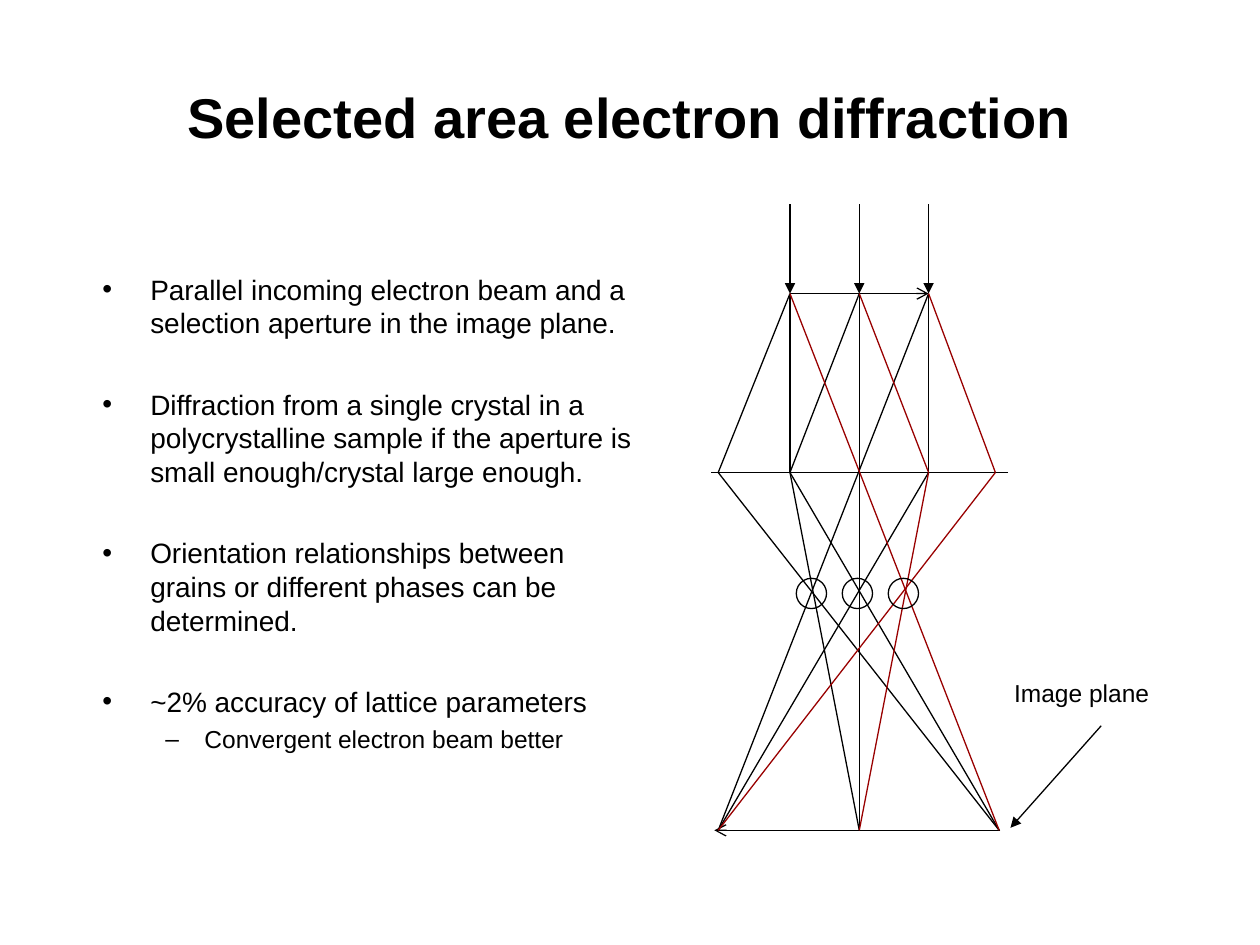
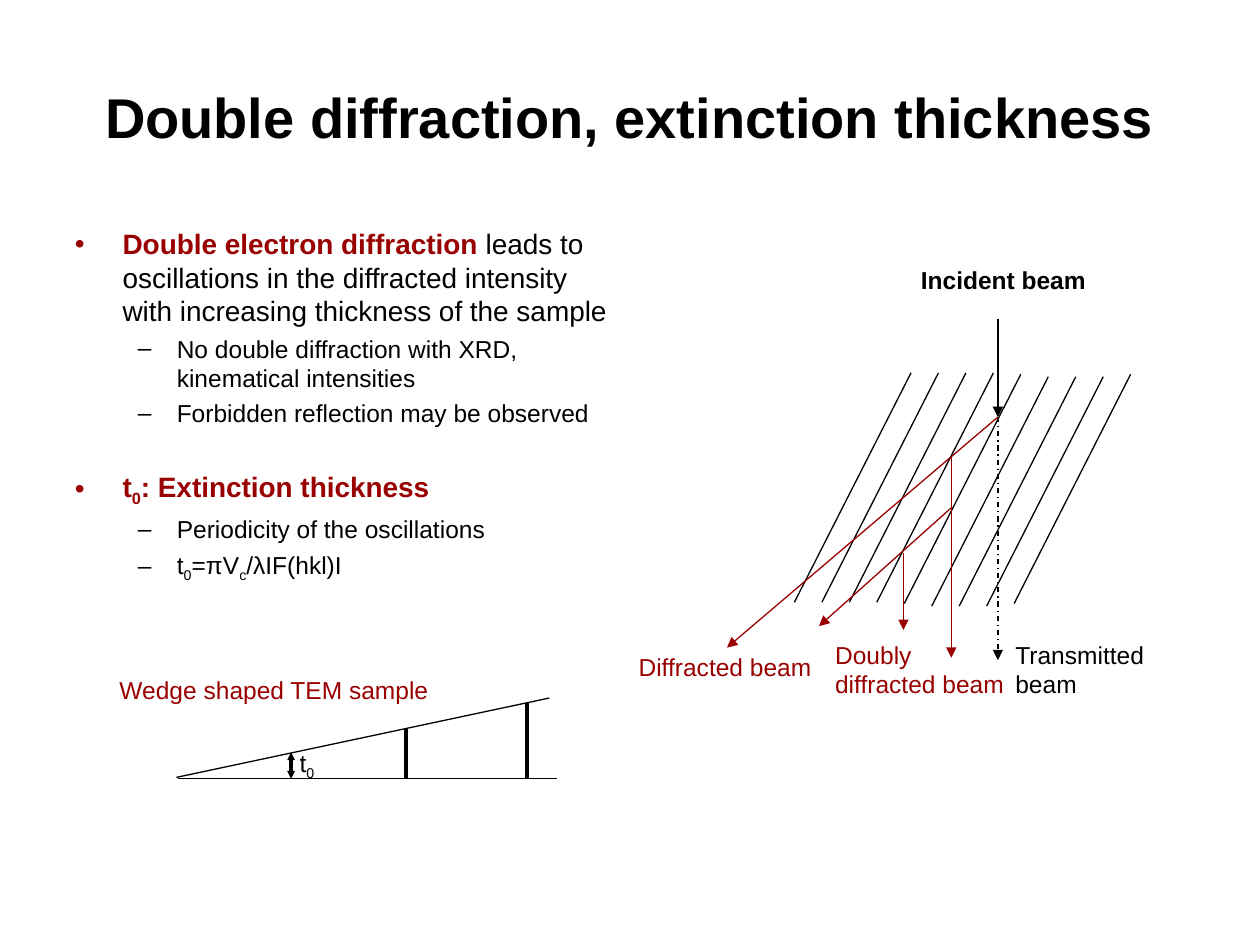
from dataclasses import dataclass

from lxml.etree import SubElement
from pptx import Presentation
from pptx.dml.color import RGBColor
from pptx.enum.dml import MSO_LINE
from pptx.enum.shapes import MSO_CONNECTOR, MSO_SHAPE
from pptx.enum.text import MSO_ANCHOR, MSO_AUTO_SIZE, PP_ALIGN
from pptx.oxml.ns import qn
from pptx.util import Inches, Pt

COLUMNS, ROWS = 100, 75
SLIDE_WIDTH, SLIDE_HEIGHT = Inches(10), Inches(7.5)


@dataclass(frozen=True)
class Theme:
    font: str = "Arial"
    ink: str = "000000"
    accent: str = "990000"
    title_size: int = 32
    point_size: int = 16
    detail_size: int = 14
    thin: float = 0.75
    medium: float = 1.5
    thick: float = 2.25


THEME = Theme()


@dataclass(frozen=True)
class Box:
    """A region in grid columns and rows."""
    left: float
    top: float
    width: float
    height: float

    def inner(self, left, top, width, height):
        return Box(self.left + left, self.top + top, width, height)

    def point(self, column, row):
        return to_emu(self.left + column, self.top + row)

    def frame(self):
        return *to_emu(self.left, self.top), *to_emu(self.width, self.height)


def to_emu(column, row):
    return round(column * SLIDE_WIDTH / COLUMNS), round(row * SLIDE_HEIGHT / ROWS)


def rgb(color):
    return RGBColor.from_string(color)


# ---- Text ----
def add_run(paragraph, text, size, color=THEME.ink, bold=False, sub=False):
    run = paragraph.add_run()
    run.text = text
    run.font.name, run.font.size, run.font.bold = THEME.font, Pt(size), bold
    run.font.color.rgb = rgb(color)
    if sub:
        run.font._element.set("baseline", "-25000")


def add_text(slide, box, lines, size=THEME.detail_size, wrap=False,
             align=PP_ALIGN.LEFT, anchor=MSO_ANCHOR.TOP, **look):
    """Each line is a string or a list of (text, look) runs."""
    frame = slide.shapes.add_textbox(*box.frame()).text_frame
    frame.word_wrap, frame.vertical_anchor = wrap, anchor
    frame.auto_size = MSO_AUTO_SIZE.NONE if wrap else MSO_AUTO_SIZE.SHAPE_TO_FIT_TEXT
    for index, line in enumerate(lines):
        paragraph = frame.add_paragraph() if index else frame.paragraphs[0]
        paragraph.alignment = align
        for text, extra in [(line, {})] if isinstance(line, str) else line:
            add_run(paragraph, text, **{"size": size, **look, **extra})
    return frame


def set_bullet(paragraph, mark, color, margin, hanging):
    properties = paragraph._p.get_or_add_pPr()
    properties.set("marL", str(Inches(margin)))
    properties.set("indent", str(-Inches(hanging)))
    bullet_color = SubElement(properties, qn("a:buClr"))
    SubElement(bullet_color, qn("a:srgbClr"), val=color)
    SubElement(properties, qn("a:buFont"), typeface=THEME.font)
    SubElement(properties, qn("a:buChar"), char=mark)


def add_title(slide, title):
    add_text(slide, Box(5, 3, 90, 12.5), [title], size=THEME.title_size, bold=True,
             wrap=True, align=PP_ALIGN.CENTER, anchor=MSO_ANCHOR.MIDDLE)


def add_outline(slide, box, topics, topic_gap, bullet_color):
    """Each topic is (point, details); topics stand topic_gap points apart."""
    entries = []
    for point, details in topics:
        entries.append((0, topic_gap, point))
        entries += [(1, 3.5, detail) for detail in details]
    sizes = THEME.point_size, THEME.detail_size
    lines = [[(text, {"size": sizes[level], **look})
              for text, look in ([(line, {})] if isinstance(line, str) else line)]
             for level, _, line in entries]
    frame = add_text(slide, box, lines, wrap=True)
    for index, (level, gap, _) in enumerate(entries):
        paragraph = frame.paragraphs[index]
        if level:
            set_bullet(paragraph, "–", THEME.ink, 0.81, 0.31)
        else:
            set_bullet(paragraph, "•", bullet_color, 0.38, 0.38)
        paragraph.level = level
        paragraph.space_before = Pt(gap if index else 0)


# ---- Lines ----
def add_line(slide, box, start, end, color=THEME.ink, width=THEME.thin,
             head=None, tail=None, tip="med", dash=None):
    line = slide.shapes.add_connector(
        MSO_CONNECTOR.STRAIGHT, *box.point(*start), *box.point(*end))
    line.line.color.rgb, line.line.width = rgb(color), Pt(width)
    if dash:
        line.line.dash_style = dash
    for tag, kind in (("a:headEnd", head), ("a:tailEnd", tail)):
        if kind:
            SubElement(line.get_or_add_ln(), qn(tag), type=kind, w=tip, len=tip)
    SubElement(line._element.spPr, qn("a:effectLst"))


# ---- Ray diagram ----
def draw_ray_diagram(slide, box):
    source, specimen, lens, image = 0, 7.1, 21.3, 49.7
    specimen_columns = [6.3, 11.8, 17.3]
    lens_columns = [0.6, *specimen_columns, 22.6]
    image_columns = [0.6, 11.8, 22.9]
    lens_centre, direct_order = 2, 1

    # Incoming beam, specimen, lens and image
    for column in specimen_columns:
        add_line(slide, box, (column, source), (column, specimen), tail="triangle")
    add_line(slide, box, (specimen_columns[0], specimen),
             (specimen_columns[-1], specimen), tail="arrow")
    add_line(slide, box, (23.6, lens), (0, lens))
    add_line(slide, box, (23, image), (0.3, image), tail="arrow")

    # Every order crosses the lens and meets in the inverted image;
    # diffracted rays through the lens centre go on undeviated
    for order, color in enumerate((THEME.ink, THEME.ink, THEME.accent)):
        for place, column in enumerate(specimen_columns):
            crossing = place + order
            stops = [(column, specimen), (lens_columns[crossing], lens),
                     (image_columns[-1 - place], image)]
            if crossing == lens_centre and order != direct_order:
                del stops[1]
            for start, end in zip(stops, stops[1:]):
                add_line(slide, box, start, end, color=color)

    # Diffraction spots in the back focal plane
    for spot in range(3):
        ring = slide.shapes.add_shape(
            MSO_SHAPE.OVAL, *box.inner(6.8 + 3.65 * spot, 29.7, 2.4, 2.4).frame())
        ring.shadow.inherit = False
        ring.fill.background()
        ring.line.color.rgb, ring.line.width = rgb(THEME.ink), Pt(THEME.thin)

    # Pointer to the image plane
    add_line(slide, box, (31, 41.4), (23.8, 49.5), tail="triangle")
    add_text(slide, box.inner(23.1, 37.1, 12.7, 3.4), ["Image plane"])


# ---- Double diffraction diagram ----
def draw_double_diffraction(slide, box):
    # Lattice planes
    plane_tops = [9.1] * 4 + [9.2] + [9.4] * 3 + [9.2]
    for index, top in enumerate(plane_tops):
        column = 22.6 + 2.18 * index
        add_line(slide, box, (column, top), (column - 9.25, top + 18.2))

    # Beams
    entry = (29.5, 12.6)
    add_line(slide, box, entry, (29.5, 31.9), tail="triangle", dash=MSO_LINE.DASH_DOT)
    add_line(slide, box, (29.5, 4.8), entry, width=THEME.medium, tail="triangle")
    for start, end in ((entry, (8, 30.9)), ((25.8, 15.8), (25.8, 31.7)),
                       ((25.8, 19.8), (15.3, 29.2)), ((22, 23.4), (22, 29.5))):
        add_line(slide, box, start, end, color=THEME.accent, tail="triangle")

    # Beam names
    add_text(slide, box.inner(22.4, 0.05, 15.1, 3.4), ["Incident beam"], bold=True)
    add_text(slide, box.inner(0, 30.75, 15.7, 3.4), ["Diffracted beam"],
             color=THEME.accent)
    add_text(slide, box.inner(15.6, 29.8, 15.4, 5.7), ["Doubly", "diffracted beam"],
             color=THEME.accent)
    add_text(slide, box.inner(29.9, 29.8, 12.8, 5.7), ["Transmitted", "beam"])


# ---- Wedge sample ----
def draw_wedge(slide, box):
    base = 8.8
    add_line(slide, box, (5.6, base), (35.7, base))
    add_line(slide, box, (5.5, 8.7), (35.1, 2.4))
    add_line(slide, box, (14.6, 6.7), (14.6, base), width=THEME.thick,
             head="triangle", tail="triangle", tip="sm")
    for column, top in ((23.7, 4.8), (33.3, 2.8)):
        add_line(slide, box, (column, top), (column, base), width=THEME.thick)
    add_text(slide, box.inner(0, 0.05, 26.6, 3.4), ["Wedge shaped TEM sample"],
             color=THEME.accent)
    add_text(slide, box.inner(14.3, 5.9, 3.4, 3.7), [[("t", {}), ("0", {"sub": True})]])


# ---- Slides ----
def build_selected_area(slide):
    add_title(slide, "Selected area electron diffraction")
    topics = [
        ("Parallel incoming electron beam and a selection aperture in the image plane.", []),
        ("Diffraction from a single crystal in a polycrystalline sample if the "
         "aperture is small enough/crystal large enough.", []),
        ("Orientation relationships between grains or different phases can be "
         "determined.", []),
        ("~2% accuracy of lattice parameters", ["Convergent electron beam better"]),
    ]
    add_outline(slide, Box(7.15, 21.1, 44.6, 39.9), topics, 27.4, THEME.ink)
    draw_ray_diagram(slide, Box(56.4, 16.2, 36, 49.7))


def build_double_diffraction(slide):
    add_title(slide, "Double diffraction, extinction thickness")
    key = {"color": THEME.accent, "bold": True}
    sub = {"sub": True}
    topics = [
        ([("Double electron diffraction", key),
          (" leads to oscillations in the diffracted intensity with increasing "
           "thickness of the sample", {})],
         ["No double diffraction with XRD, kinematical intensities",
          "Forbidden reflection may be observed"]),
        ([("t", key), ("0", {**key, **sub}), (": Extinction thickness", key)],
         ["Periodicity of the oscillations",
          [("t", {}), ("0", sub), ("=πV", {}), ("c", sub), ("/λIF(hkl)I", {})]]),
    ]
    add_outline(slide, Box(4.95, 17.5, 44.8, 33.5), topics, 24, THEME.accent)
    draw_double_diffraction(slide, Box(49.7, 20.5, 42.7, 35.5))
    draw_wedge(slide, Box(8.5, 53, 35.7, 9.6))


def main():
    deck = Presentation()
    deck.slide_width, deck.slide_height = SLIDE_WIDTH, SLIDE_HEIGHT
    blank = deck.slide_layouts[6]
    for build in (build_selected_area, build_double_diffraction):
        build(deck.slides.add_slide(blank))
    deck.save("out.pptx")


if __name__ == "__main__":
    main()
